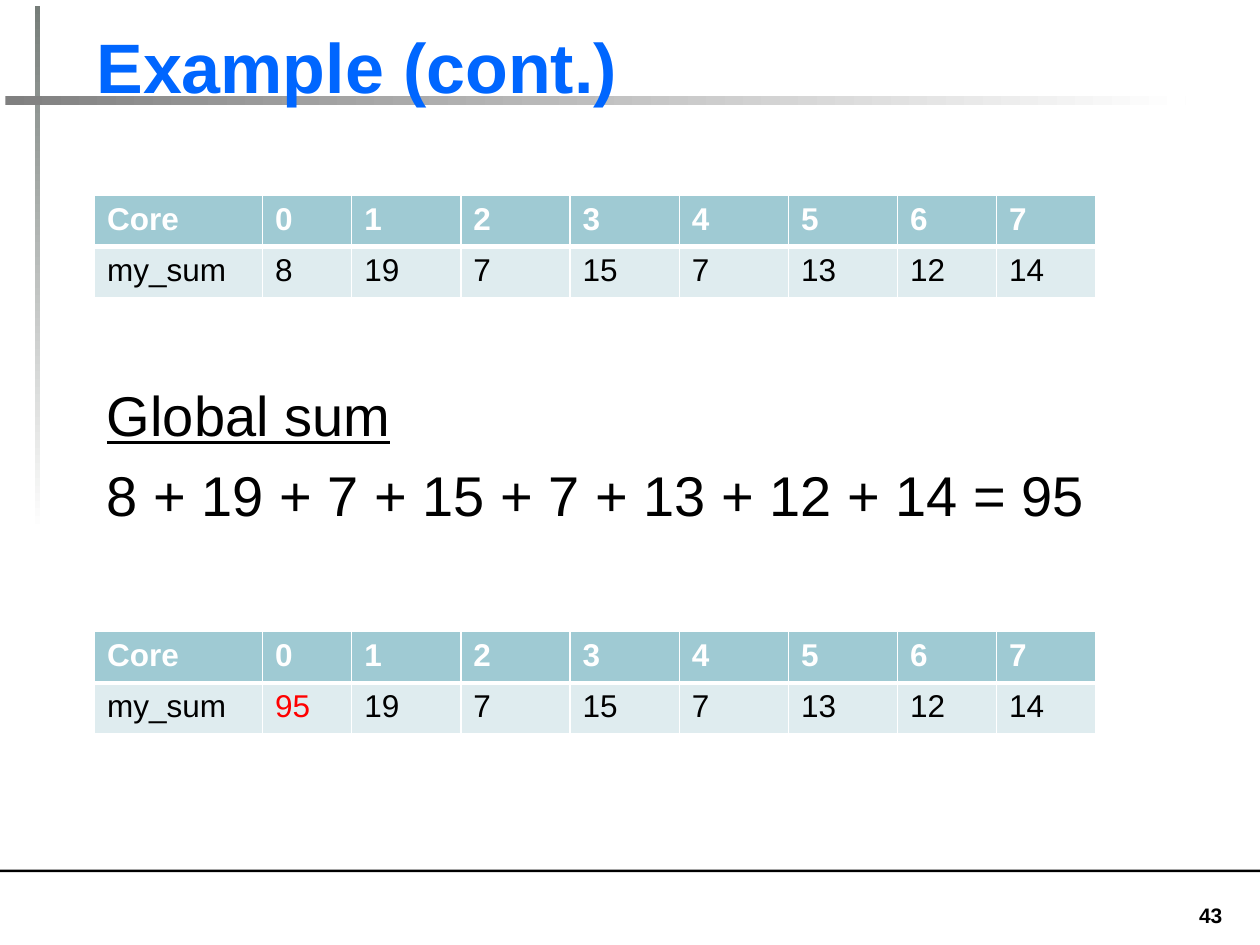
from dataclasses import dataclass

from lxml import etree
from pptx import Presentation
from pptx import util as u
from pptx.dml.color import RGBColor
from pptx.enum import shapes, text
from pptx.oxml import ns

Pt = u.Pt


@dataclass(frozen=True)
class Theme:
    font: str = "Arial"
    title: str = "0066FF"
    ink: str = "000000"
    paper: str = "FFFFFF"
    header: str = "9FCAD3"
    row: str = "DFECEF"
    updated: str = "FF0000"
    vertical_bar: str = "767D79"
    horizontal_bar: str = "808080"
    title_size: int = 40
    body_size: int = 32
    table_size: int = 18
    number_size: int = 12


THEME = Theme()
COLUMN_WIDTHS = [96, 51] + [62.4] * 5 + [56.5] * 2
ROW_HEIGHT = 29.2
CORES = ["Core"] + [str(core) for core in range(8)]
SUMS = [8, 19, 7, 15, 7, 13, 12, 14]


def rgb(color):
    return RGBColor.from_string(color)


def style(paragraph, size, color, bold=False, underline=False):
    for run in paragraph.runs:
        font = run.font
        font.name, font.size = THEME.font, Pt(size)
        font.bold, font.underline = bold, underline
        font.color.rgb = rgb(color)


def add_text(slide, box, lines, anchor):
    frame = slide.shapes.add_textbox(*map(Pt, box)).text_frame
    frame.word_wrap = True
    frame.vertical_anchor = anchor
    frame.text = "\n".join(lines)
    return frame.paragraphs


def add_bar(slide, box, color, fade_angle=None):
    bar = slide.shapes.add_shape(shapes.MSO_SHAPE.RECTANGLE, *map(Pt, box))
    bar.shadow.inherit = False
    bar.line.fill.background()
    if fade_angle is None:
        bar.fill.solid()
        bar.fill.fore_color.rgb = rgb(color)
        return
    bar.fill.gradient()
    bar.fill.gradient_angle = fade_angle
    for stop, shade in zip(bar.fill.gradient_stops, (color, THEME.paper)):
        stop.color.rgb = rgb(shade)


def add_frame(slide, box, number):
    """Decorative bars, footer rule and slide number."""
    left, top, width, height = box
    add_bar(slide, (left, top + 497, width, 1.4), THEME.ink)
    add_bar(slide, (left + 20, top + 3.6, 3, 300), THEME.vertical_bar, 270)
    add_bar(slide, (left + 3, top + 55, 674.5, 5.2), THEME.horizontal_bar, 0)
    page, = add_text(slide, (left + width - 60, top + 512, 45.6, 21.6),
                     [number], text.MSO_ANCHOR.TOP)
    page.alignment = text.PP_ALIGN.RIGHT
    style(page, THEME.number_size, THEME.ink, bold=True)


def add_title(slide, box, wording):
    title, = add_text(slide, box, [wording], text.MSO_ANCHOR.BOTTOM)
    style(title, THEME.title_size, THEME.title, bold=True)


def set_borders(cell, top, bottom):
    properties = cell._tc.get_or_add_tcPr()
    for side, points in (("L", 1), ("R", 1), ("T", top), ("B", bottom)):
        line = etree.SubElement(properties, ns.qn(f"a:ln{side}"), w=str(Pt(points)))
        fill = etree.SubElement(line, ns.qn("a:solidFill"))
        etree.SubElement(fill, ns.qn("a:srgbClr"), val=THEME.paper)


def add_core_table(slide, box, sums, updated=None):
    """Sums per core; the core named in updated has its sum highlighted."""
    rows = [CORES, ["my_sum"] + [str(value) for value in sums]]
    table = slide.shapes.add_table(len(rows), len(CORES), *map(Pt, box)).table
    table.horz_banding = False
    for column, width in zip(table.columns, COLUMN_WIDTHS):
        column.width = Pt(width)
    for r, row in enumerate(rows):
        is_header = r == 0
        table.rows[r].height = Pt(ROW_HEIGHT)
        for c, wording in enumerate(row):
            cell = table.cell(r, c)
            set_borders(cell, *((1, 3) if is_header else (3, 1)))
            cell.fill.solid()
            cell.fill.fore_color.rgb = rgb(THEME.header if is_header else THEME.row)
            color = THEME.paper if is_header else THEME.ink
            if not is_header and updated is not None and c == updated + 1:
                color = THEME.updated
            cell.text_frame.text = wording
            style(cell.text_frame.paragraphs[0], THEME.table_size, color, bold=is_header)


def add_global_sum(slide, box, sums):
    equation = f"{' + '.join(map(str, sums))} = {sum(sums)}"
    heading, result = add_text(slide, box, ["Global sum", equation],
                               text.MSO_ANCHOR.MIDDLE)
    style(heading, THEME.body_size, THEME.ink, underline=True)
    style(result, THEME.body_size, THEME.ink)
    result.space_before = Pt(7.5)


def main():
    deck = Presentation()
    deck.slide_width, deck.slide_height = Pt(720), Pt(540)
    slide = deck.slides.add_slide(deck.slide_layouts[6])
    left, table_size = 54, (sum(COLUMN_WIDTHS), 2 * ROW_HEIGHT)

    add_frame(slide, (0, 0, 720, 540), "43")
    add_title(slide, (48, 9.5, 652, 55.5), "Example (cont.)")
    # Sums before, the addition, and sums after core 0 holds the total
    add_core_table(slide, (left, 111.6, *table_size), SUMS)
    add_global_sum(slide, (left, 213, 578, 93), SUMS)
    add_core_table(slide, (left, 361, *table_size), [sum(SUMS)] + SUMS[1:], updated=0)
    deck.save("out.pptx")


if __name__ == "__main__":
    main()
